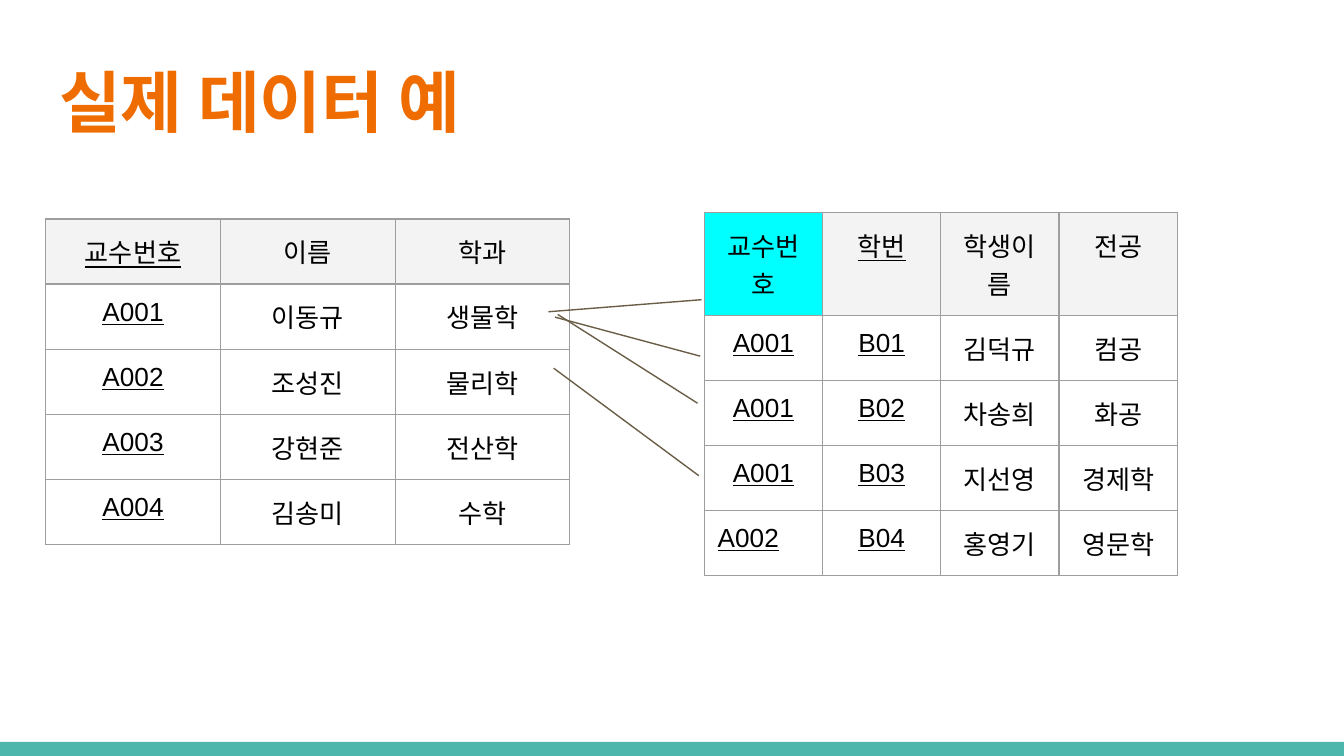
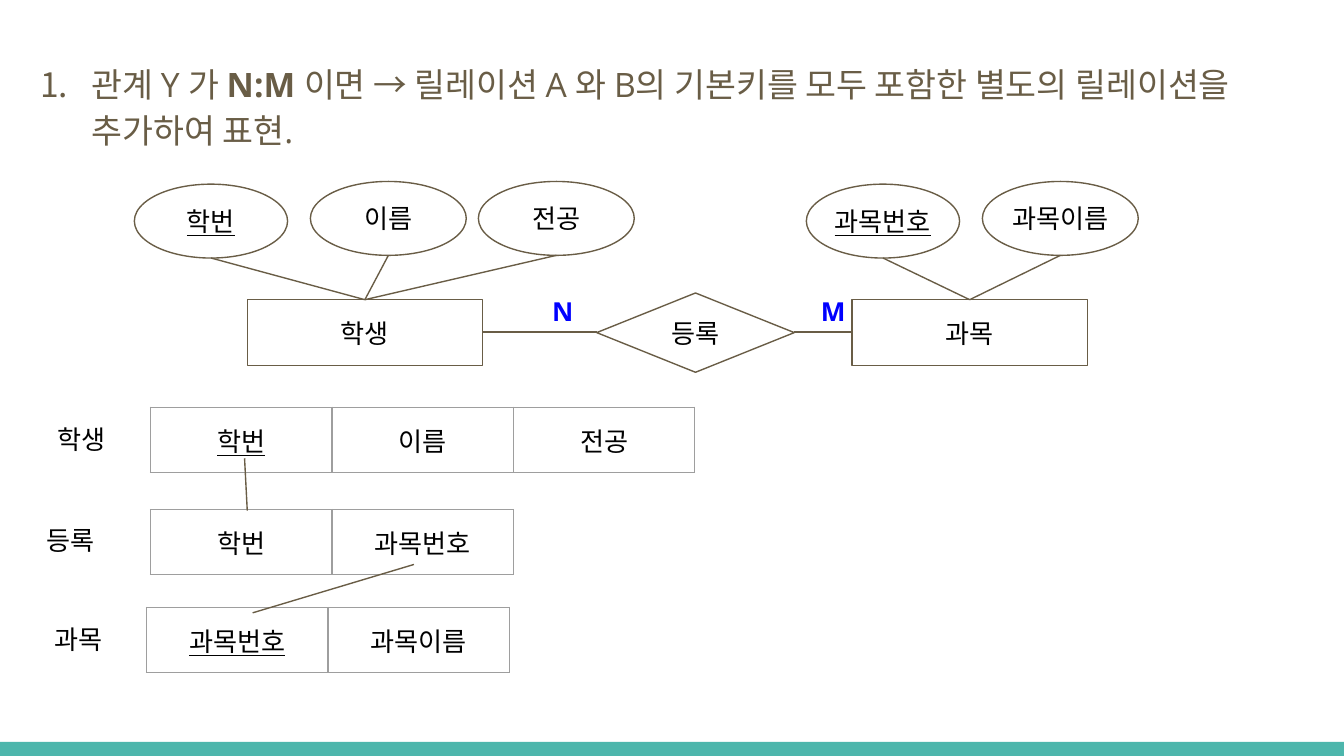
from lxml import etree
from pptx import Presentation
from pptx.dml.color import RGBColor
from pptx.enum import shapes as kinds, text as txt
from pptx.oxml import ns
from pptx.util import Inches, Pt

WIDE = 10
HIGH = WIDE * 9 / 16
HUES = dict(ink="000000", brown="695D46", orange="EF6C00", blue="0000FF",
            teal="4DB6AC", grid="9E9E9E", head="F3F3F3", key="00FFFF",
            white="FFFFFF")
PAD = 0.1
LEFT, MID = txt.PP_ALIGN.LEFT, txt.PP_ALIGN.CENTER

# A leading "_" marks an underlined key.
TITLE = "실제 데이터 예"
PROFS = [["_교수번호", "이름", "학과"],
         ["_A001", "이동규", "생물학"],
         ["_A002", "조성진", "물리학"],
         ["_A003", "강현준", "전산학"],
         ["_A004", "김송미", "수학"]]
PUPILS = [["교수번호", "_학번", "학생이름", "전공"],
          ["_A001", "_B01", "김덕규", "컴공"],
          ["_A001", "_B02", "차송희", "화공"],
          ["_A001", "_B03", "지선영", "경제학"],
          ["_A002", "_B04", "홍영기", "영문학"]]
LINKS = [(4.08, 2.32, 5.22, 2.23), (4.13, 2.36, 5.21, 2.65),
         (4.15, 2.34, 5.19, 3), (4.12, 2.74, 5.2, 3.54)]

RULE = [("관계 Y 가 ", False), ("N:M", True),
        (" 이면 → 릴레이션 A 와 B의 기본키를 모두 포함한 별도의 "
         "릴레이션을 추가하여 표현.", False)]
# Entity: name, left, then its attributes with their lefts.
ENTITIES = [("학생", 1.84, [("_학번", 1), ("이름", 2.31), ("전공", 3.56)]),
            ("과목", 6.34, [("_과목번호", 6), ("과목이름", 7.31)])]
TIE = ("등록", 4.44, 2.18, 1.47, 0.59)
COUNTS = [("N", 4.01), ("M", 6.01)]
# Relation: name, label left, label top, table left, table top, columns.
RELATIONS = [("학생", 0.33, 3.05, 1.12, 3.03, ["_학번", "이름", "전공"]),
             ("등록", 0.25, 3.8, 1.12, 3.79, ["학번", "과목번호"]),
             ("과목", 0.31, 4.54, 1.09, 4.52, ["_과목번호", "과목이름"])]
KEYS = [(3.08, 4.2, 1.88, 4.56), (1.82, 3.41, 1.84, 3.8)]


def rgb(hue):
    return RGBColor.from_string(HUES[hue])


def sub(node, tag, **atts):
    return etree.SubElement(node, ns.qn(tag), atts)


def write(para, words, size=14, face="Arial", hue="ink", **looks):
    """Add a run; a leading "_" underlines it."""
    run = para.add_run()
    run.text = words.removeprefix("_")
    looks |= dict(size=Pt(size), name=face, underline=words.startswith("_"))
    for name, value in looks.items():
        setattr(run.font, name, value)
    run.font.color.rgb = rgb(hue)


def frame(shape, pad=PAD, anchor=txt.MSO_ANCHOR.TOP, align=LEFT):
    """Set up the text area and return its first paragraph."""
    area = shape.text_frame
    looks = dict(word_wrap=True, auto_size=txt.MSO_AUTO_SIZE.NONE,
                 vertical_anchor=anchor)
    for side in ("left", "right", "top", "bottom"):
        looks["margin_" + side] = Inches(pad)
    for name, value in looks.items():
        setattr(area, name, value)
    para = area.paragraphs[0]
    para.alignment = align
    return para


def place(shape, *spot):
    for name, value in zip(("left", "top", "width", "height"), spot):
        setattr(shape, name, Inches(value))
    return shape


def label(slide, words, *spot, **looks):
    box = slide.shapes.add_textbox(*map(Inches, spot))
    write(frame(box), words, face="Open Sans", **looks)


def draw(slide, kind, spot, fill, line=None):
    shape = slide.shapes.add_shape(kind, *map(Inches, spot))
    shape.shadow.inherit = False
    shape.fill.solid()
    shape.fill.fore_color.rgb = rgb(fill)
    if line:
        shape.line.color.rgb = rgb(line)
        shape.line.width = Pt(0.75)
    else:
        shape.line.fill.background()
    return shape


def node(slide, kind, words, *spot):
    shape = draw(slide, kind, spot, "white", "brown")
    write(frame(shape, 0, txt.MSO_ANCHOR.MIDDLE, MID), words)


def join(slide, *ends):
    line = slide.shapes.add_connector(kinds.MSO_CONNECTOR.STRAIGHT,
                                      *map(Inches, ends))
    line.line.color.rgb = rgb("brown")
    line.line.width = Pt(0.75)
    sub(line._element.spPr, "a:effectLst")


def edge(cell):
    props = cell._tc.get_or_add_tcPr()
    for at, side in enumerate("LRTB"):
        line = etree.Element(ns.qn("a:ln" + side), w=str(Pt(0.75)))
        fill = sub(line, "a:solidFill")
        sub(fill, "a:srgbClr", val=HUES["grid"])
        props.insert(at, line)


def grid(slide, rows, left, top, col, row, fills=None):
    """Draw a table; fills maps (row, column) to a colour name."""
    tall, wide = len(rows), len(rows[0])
    spot = (left, top, col * wide, row * tall)
    table = slide.shapes.add_table(tall, wide, *map(Inches, spot)).table
    table.first_row = table.horz_banding = False
    for y, line in enumerate(rows):
        for x, words in enumerate(line):
            cell = table.cell(y, x)
            for side in ("left", "right", "top", "bottom"):
                setattr(cell, "margin_" + side, Inches(PAD))
            hue = (fills or {}).get((y, x))
            if hue:
                cell.fill.solid()
                cell.fill.fore_color.rgb = rgb(hue)
            else:
                cell.fill.background()
            edge(cell)
            para = cell.text_frame.paragraphs[0]
            para.alignment = MID
            write(para, words)
    return table


def add_band(deck, slide):
    """Put the footer band on the master, behind everything."""
    band = draw(slide, kinds.MSO_SHAPE.RECTANGLE,
                (0, 5.52, WIDE, 0.11), "teal")
    tree = deck.slide_master.element.find(".//" + ns.qn("p:spTree"))
    tree.insert(2, band._element)


def data_slide(deck):
    slide = deck.slides.add_slide(deck.slide_layouts[5])
    add_band(deck, slide)
    title = place(slide.shapes.title, 0.34, 0.35, 9.32, 0.77)
    write(frame(title), TITLE, 36, "Roboto Condensed", "orange", bold=True)
    heads = {(0, x): "head" for x in range(4)}
    grid(slide, PROFS, 0.34, 1.63, 1.3, 0.42, heads)
    pupils = grid(slide, PUPILS, 5.24, 1.58, 0.88, 0.42,
                  heads | {(0, 0): "key"})
    pupils.cell(4, 0).text_frame.paragraphs[0].alignment = LEFT
    for ends in LINKS:
        join(slide, *ends)


def rule_text(slide):
    slide.shapes.title.element.getparent().remove(slide.shapes.title.element)
    para = frame(place(slide.placeholders[1], 0.08, 0.33, 9.69, 0.96))
    props = para._p.get_or_add_pPr()
    props.set("marL", str(Inches(0.5)))
    props.set("indent", str(Inches(-0.38)))
    sub(sub(props, "a:buClr"), "a:srgbClr", val=HUES["brown"])
    sub(props, "a:buFont", typeface="Open Sans")
    sub(props, "a:buAutoNum", type="arabicPeriod")
    para.line_spacing, para.space_before = 1.15, Pt(0)
    for words, bold in RULE:
        write(para, words, 18, "Open Sans", "brown", bold=bold)


def model_slide(deck):
    slide = deck.slides.add_slide(deck.slide_layouts[1])
    rule_text(slide)
    shape = kinds.MSO_SHAPE
    top, wide, high = 2.23, 1.75, 0.49
    for name, left, traits in ENTITIES:
        node(slide, shape.RECTANGLE, name, left, top, wide, high)
        for trait, x in traits:
            key = trait.startswith("_")
            y, w, h = (1.37, 1.14, 0.55) if key else (1.35, 1.16, 0.55)
            node(slide, shape.OVAL, trait, x, y, w, h)
            join(slide, x + w / 2, y + h, left + wide / 2, top)
    node(slide, shape.DIAMOND, *TIE)
    mid = 2.47
    join(slide, ENTITIES[0][1] + wide, mid, TIE[1], mid)
    join(slide, TIE[1] + TIE[3], mid, ENTITIES[1][1], mid)
    for count, x in COUNTS:
        label(slide, count, x, 2.1, 0.32, 0.32, hue="blue", bold=True)
    for name, x, y, left, high, cols in RELATIONS:
        label(slide, name, x, y, 0.73, 0.39)
        grid(slide, [cols], left, high, 1.35, 0.43)
    for ends in KEYS:
        join(slide, *ends)


def main():
    deck = Presentation()
    deck.slide_width, deck.slide_height = Inches(WIDE), Inches(HIGH)
    data_slide(deck)
    model_slide(deck)
    deck.save("out.pptx")


if __name__ == "__main__":
    main()
